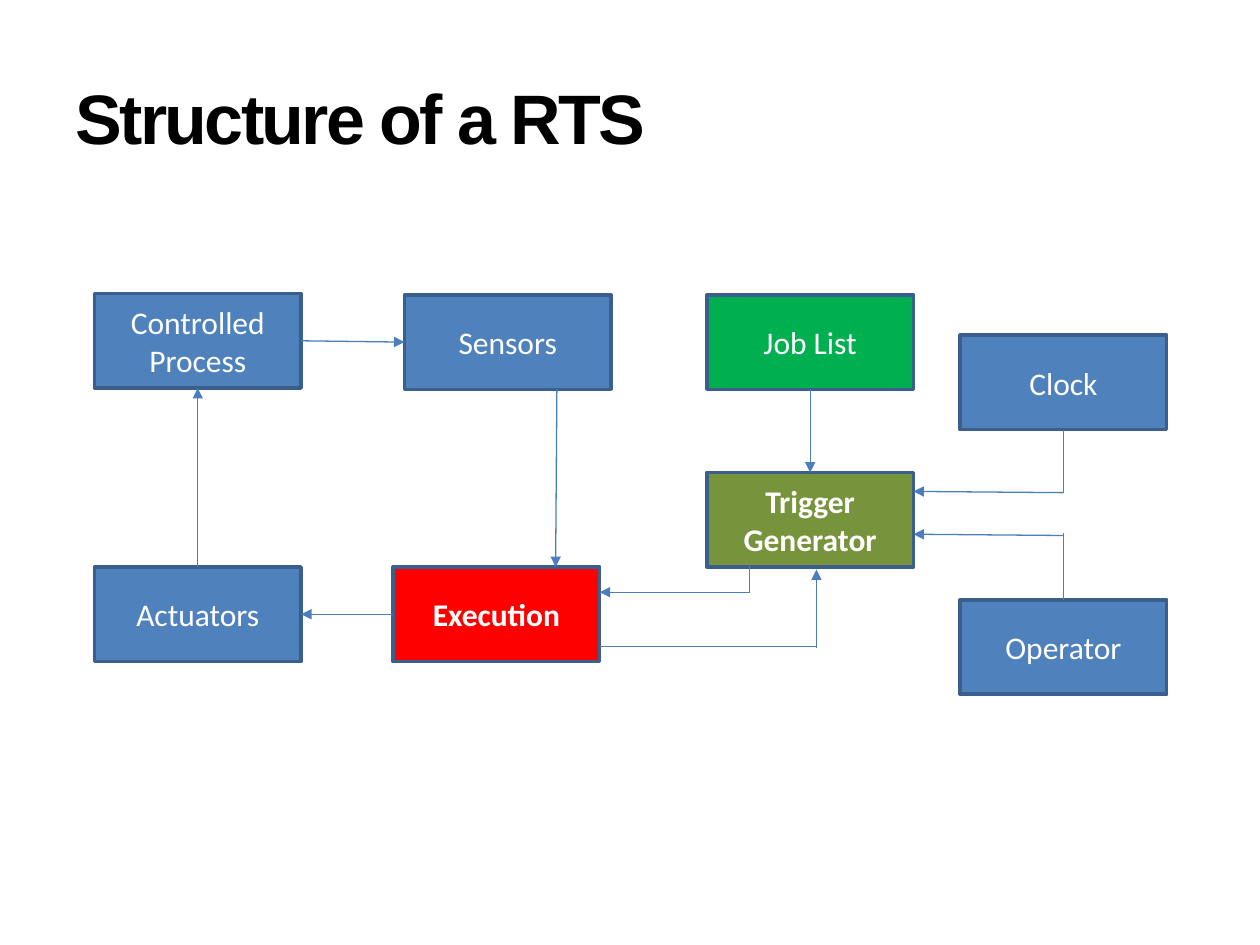
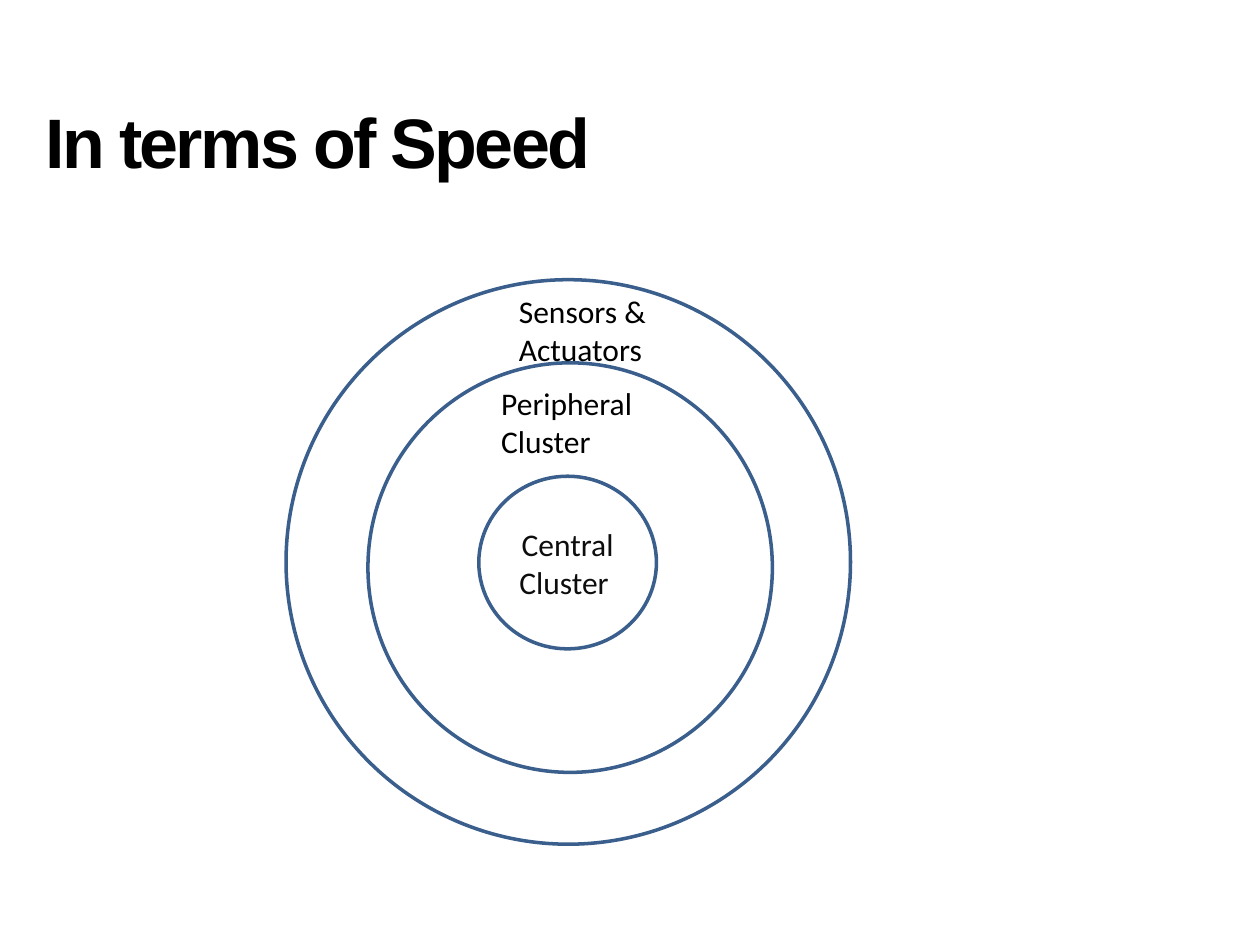
from typing import NamedTuple, Optional

from lxml.etree import SubElement
from pptx import Presentation
from pptx.dml.color import RGBColor
from pptx.enum.shapes import MSO_CONNECTOR, MSO_SHAPE
from pptx.enum.text import MSO_ANCHOR, MSO_AUTO_SIZE, PP_ALIGN
from pptx.oxml.ns import qn
from pptx.util import Emu, Inches, Pt

# Shared look
HUES = {
    "blue": "4F81BD", "green": "00B050", "red": "FF0000", "olive": "77933C",
    "edge": "3A5F8C", "wire": "4B7EBC", "white": "FFFFFF", "black": "000000",
    "ink": "0D0D0D",
}
TITLE = {"name": "Arial", "size": Pt(40), "bold": True}
LABEL = {"name": "Calibri", "size": Pt(18), "bold": False}
STRONG = {**LABEL, "bold": True}

# The slide is a grid of 100 columns by 75 rows
COLS, ROWS = 100, 75
WIDE, HIGH = Inches(10), Inches(7.5)
BOX_W, BOX_H = 16.4, 7.5
NOTE_W, NOTE_H = 17.4, 7.1
TOP, LEFT, BOTTOM, RIGHT = range(4)


class Box(NamedTuple):
    text: str
    col: float
    row: float
    fill: str = "blue"
    font: dict = LABEL


class End(NamedTuple):
    """A side of a named box, or a free grid point."""
    col: float = 0
    row: float = 0
    box: str = ""
    side: int = 0


class Link(NamedTuple):
    start: End
    stop: End
    arrow: bool = True


class Ring(NamedTuple):
    col: float
    row: float
    wide: float
    high: float
    text: Optional[str] = None


class Note(NamedTuple):
    text: str
    col: float
    row: float


def hue(name: str) -> RGBColor:
    return RGBColor.from_string(HUES[name])


def x(col: float) -> Emu:
    return Emu(round(WIDE * col / COLS))


def y(row: float) -> Emu:
    return Emu(round(HIGH * row / ROWS))


def area(col: float, row: float, wide: float, high: float) -> tuple:
    return x(col), y(row), x(wide), y(high)


def write(frame, text: str, font: dict, ink: str, align=PP_ALIGN.LEFT,
          anchor=MSO_ANCHOR.MIDDLE):
    frame.word_wrap = True
    frame.vertical_anchor = anchor
    para = frame.paragraphs[0]
    para.alignment = align
    run = para.add_run()
    run.text = text
    for key, value in font.items():
        setattr(run.font, key, value)
    run.font.color.rgb = hue(ink)
    return run


def add_page(deck, text: str, place: tuple):
    page = deck.slides.add_slide(deck.slide_layouts[5])
    head = page.shapes.title
    head.left, head.top, head.width, head.height = area(*place)
    run = write(head.text_frame, text, TITLE, "black")
    run._r.get_or_add_rPr().set("spc", "-150")
    return page


def add_form(page, kind, place: tuple, fill: Optional[str] = None):
    form = page.shapes.add_shape(kind, *area(*place))
    form.shadow.inherit = False
    if fill:
        form.fill.solid()
        form.fill.fore_color.rgb = hue(fill)
    else:
        form.fill.background()
    form.line.color.rgb = hue("edge")
    form.line.width = Pt(2)
    return form


def add_box(page, box: Box):
    form = add_form(page, MSO_SHAPE.RECTANGLE,
                    (box.col, box.row, BOX_W, BOX_H), box.fill)
    write(form.text_frame, box.text, box.font, "white", PP_ALIGN.CENTER)
    return form


def add_link(page, link: Link, forms: dict) -> None:
    start, stop = link.start, link.stop
    wire = page.shapes.add_connector(
        MSO_CONNECTOR.STRAIGHT,
        x(start.col), y(start.row), x(stop.col), y(stop.row))
    if start.box:
        wire.begin_connect(forms[start.box], start.side)
    if stop.box:
        wire.end_connect(forms[stop.box], stop.side)
    wire.line.color.rgb = hue("wire")
    wire.line.width = Pt(0.75)
    props = wire._element.spPr
    if link.arrow:
        SubElement(props.find(qn("a:ln")), qn("a:tailEnd"), type="triangle")
    SubElement(props, qn("a:effectLst"))


def add_ring(page, ring: Ring) -> None:
    form = add_form(page, MSO_SHAPE.OVAL,
                    (ring.col, ring.row, ring.wide, ring.high))
    if ring.text:
        write(form.text_frame, ring.text, LABEL, "ink", PP_ALIGN.CENTER)


def add_note(page, note: Note) -> None:
    form = page.shapes.add_textbox(*area(note.col, note.row, NOTE_W, NOTE_H))
    write(form.text_frame, note.text, LABEL, "black", anchor=MSO_ANCHOR.TOP)
    form.text_frame.auto_size = MSO_AUTO_SIZE.SHAPE_TO_FIT_TEXT


# Slide 1: parts of the system
A, B, C, D = 7.5, 32.1, 56.1, 76.2
BOXES = [
    Box("Controlled Process", A, 23.3),
    Box("Sensors", B, 23.4),
    Box("Job List", C, 23.4, "green"),
    Box("Execution", 31.2, 45, "red", STRONG),
    Box("Actuators", A, 45),
    Box("Trigger Generator", C, 37.5, "olive", STRONG),
    Box("Clock", D, 26.6),
    Box("Operator", D, 47.6),
]
MID = D + BOX_W / 2
EDGE = C + BOX_W
EXEC = 31.2 + BOX_W


def side(box: str, which: int) -> End:
    return End(box=box, side=which)


LINKS = [
    # Control loop
    Link(side("Controlled Process", RIGHT), side("Sensors", LEFT)),
    Link(End(44.2, 30.9), End(44.1, 45)),
    Link(side("Execution", LEFT), side("Actuators", RIGHT)),
    Link(side("Actuators", TOP), side("Controlled Process", BOTTOM)),
    # Triggers
    Link(side("Job List", BOTTOM), side("Trigger Generator", TOP)),
    Link(side("Clock", BOTTOM), End(MID, 39.1), False),
    Link(End(MID, 39.1), End(EDGE, 39)),
    Link(side("Operator", TOP), End(MID, 42.3), False),
    Link(End(MID, 42.5), End(EDGE, 42.4)),
    # Exchange between execution and trigger
    Link(End(EXEC, 51.3), End(64.8, 51.3), False),
    Link(End(64.8, 51.4), End(64.8, 45.2)),
    Link(End(59.5, 44.8), End(59.5, 47), False),
    Link(End(59.5, 47), End(EXEC, 47)),
]

# Slide 2: speed rings
RINGS = [
    Ring(38, 37.8, 14.1, 13.7, "Central Cluster "),
    Ring(29.2, 28.8, 32.1, 32.5),
    Ring(22.7, 22.2, 44.8, 44.8),
]
NOTES = [
    Note("Sensors & Actuators", 40.2, 22.7),
    Note("Peripheral Cluster", 38.8, 30),
]


def main() -> None:
    deck = Presentation()
    deck.slide_width, deck.slide_height = WIDE, HIGH

    page = add_page(deck, "Structure of a RTS", (5, 3, 90, 12.5))
    forms = {box.text: add_box(page, box) for box in BOXES}
    for link in LINKS:
        add_link(page, link, forms)

    page = add_page(deck, "In terms of Speed", (2.6, 2.1, 88.4, 18.1))
    for ring in RINGS:
        add_ring(page, ring)
    for note in NOTES:
        add_note(page, note)

    deck.save("out.pptx")


if __name__ == "__main__":
    main()
